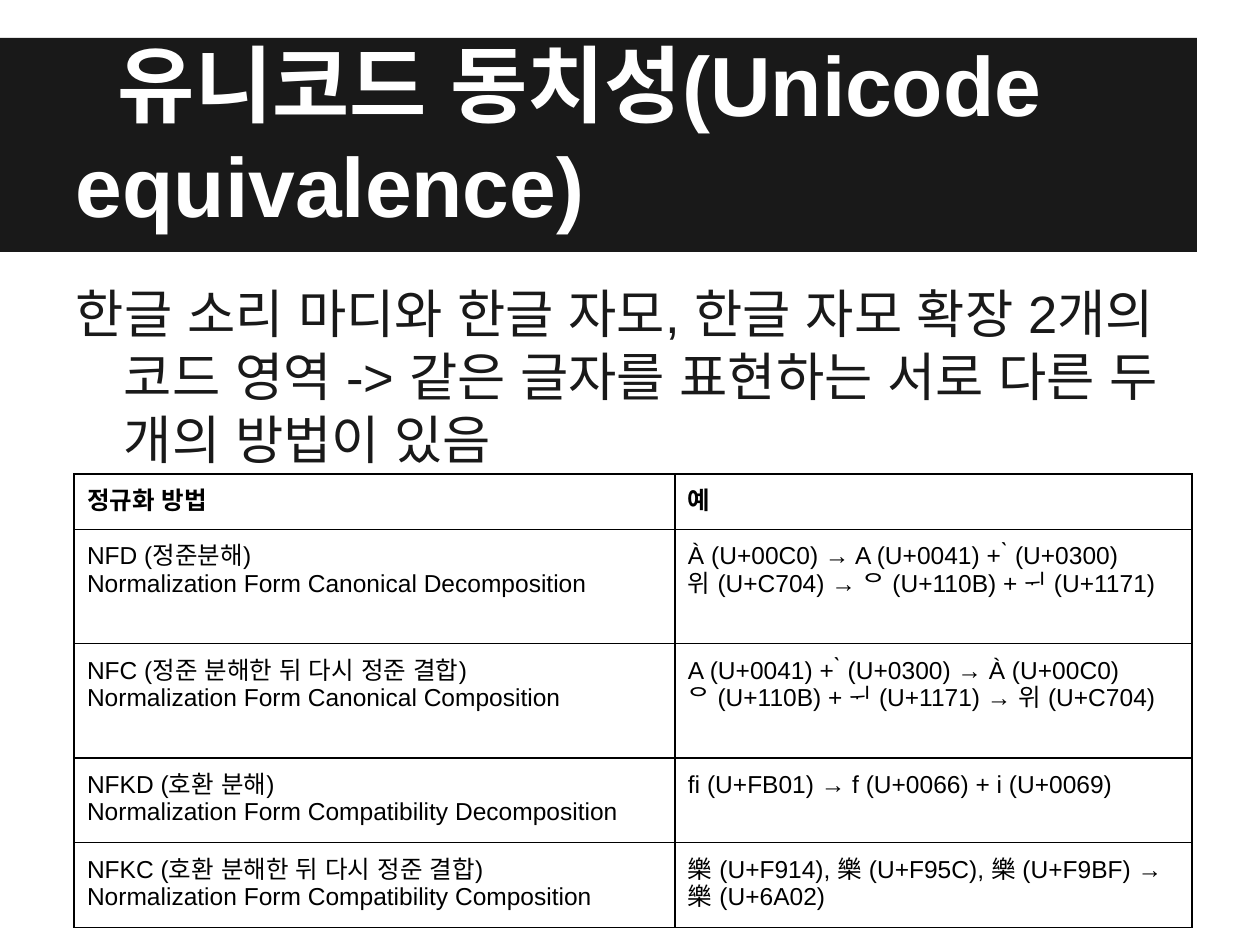
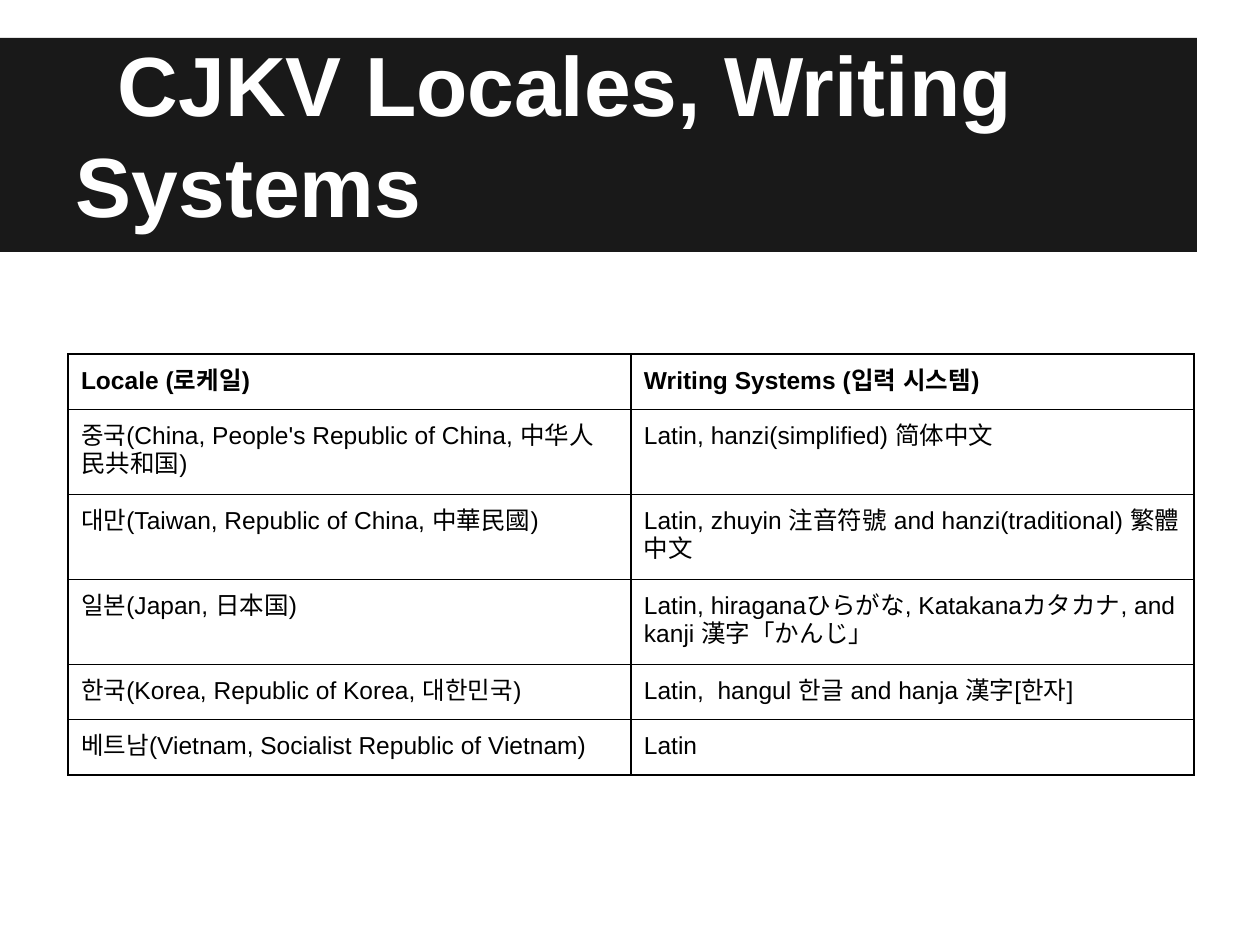
import pptx
import pptx.dml.color
import pptx.enum.shapes
import pptx.enum.text
import pptx.oxml
import pptx.oxml.ns
import pptx.util
from dataclasses import dataclass

NORMALIZATION = [
    (["정규화 방법"], ["예"]),
    (["NFD (정준분해)", "Normalization Form Canonical Decomposition"],
     ["À (U+00C0) → A (U+0041) + ̀ (U+0300)", "위 (U+C704) → ᄋ (U+110B) + ᅱ (U+1171)"]),
    (["NFC (정준 분해한 뒤 다시 정준 결합)", "Normalization Form Canonical Composition"],
     ["A (U+0041) + ̀ (U+0300) → À (U+00C0)", "ᄋ (U+110B) + ᅱ (U+1171) → 위 (U+C704)"]),
    (["NFKD (호환 분해)", "Normalization Form Compatibility Decomposition"],
     ["ﬁ (U+FB01) → f (U+0066) + i (U+0069)"]),
    (["NFKC (호환 분해한 뒤 다시 정준 결합)", "Normalization Form Compatibility Composition"],
     ["樂 (U+F914), 樂 (U+F95C), 樂 (U+F9BF) → 樂 (U+6A02)"]),
]

LOCALES = [
    (["Locale (로케일)"], ["Writing Systems (입력 시스템)"]),
    (["중국(China, People's Republic of China, 中华人民共和国)"],
     ["Latin, hanzi(simplified) 简体中文"]),
    (["대만(Taiwan, Republic of China, 中華民國)"],
     ["Latin, zhuyin 注音符號 and hanzi(traditional) 繁體中文"]),
    (["일본(Japan, 日本国)"],
     ["Latin, hiraganaひらがな, Katakanaカタカナ, and kanji 漢字「かんじ」"]),
    (["한국(Korea, Republic of Korea, 대한민국)"],
     ["Latin,  hangul 한글 and hanja 漢字[한자]"]),
    (["베트남(Vietnam, Socialist Republic of Vietnam)"], ["Latin"]),
]

SLIDES = [
    {
        "title": "유니코드 동치성(Unicode equivalence)",
        "body": "한글 소리 마디와 한글 자모, 한글 자모 확장 2개의 코드 영역 -> "
                "같은 글자를 표현하는 서로 다른 두 개의 방법이 있음",
        "table": {"rows": NORMALIZATION, "left": 74, "top": 474, "widths": (601, 517)},
    },
    {
        "title": "CJKV Locales, Writing Systems",
        "table": {"rows": LOCALES, "left": 68, "top": 354, "widths": (563, 563)},
    },
]


@dataclass(frozen=True)
class Theme:
    font: str = "Arial"
    dark: str = "191919"
    light: str = "FFFFFF"
    ink: str = "000000"
    title_size: int = 48
    body_size: int = 30
    cell_size: int = 14
    border: float = 0.75


THEME = Theme()
SLIDE = (1260, 945)
BAND = (0, 38, 1197, 214)
TITLE = (63, 38, 1134, 209)
BODY = (63, 268, 1134, 636)
INSET = 13
ROW_HEIGHT = 53


def px(n):
    return pptx.util.Emu(round(n * 914400 / 126))


def rgb(color):
    return pptx.dml.color.RGBColor.from_string(color)


def write(tf, paragraphs, *, size, color, bold=False, margin=0, indent=0, before=0):
    """Fill a text frame with paragraphs that share one format."""
    tf.word_wrap = True
    tf.margin_left = tf.margin_right = tf.margin_top = tf.margin_bottom = px(INSET)
    for i, text in enumerate(paragraphs):
        p = tf.paragraphs[0] if i == 0 else tf.add_paragraph()
        p.space_before = pptx.util.Pt(before)
        pPr = p._p.get_or_add_pPr()
        pPr.set("marL", str(px(margin)))
        pPr.set("indent", str(px(indent)))
        r = p.add_run()
        r.text = text
        r.font.name = THEME.font
        r.font.size = pptx.util.Pt(size)
        r.font.bold = bold
        r.font.color.rgb = rgb(color)
        for tag in ("a:ea", "a:cs"):
            face = pptx.oxml.ns.qn(tag)
            r._r.get_or_add_rPr().makeelement(face)
            child = pptx.oxml.parse_xml(
                f'<{tag} {pptx.oxml.ns.nsdecls("a")} typeface="{THEME.font}"/>')
            r._r.get_or_add_rPr().append(child)


def add_text(slide, box, text, anchor, **fmt):
    tf = slide.shapes.add_textbox(*map(px, box)).text_frame
    write(tf, [text], **fmt)
    tf.vertical_anchor = anchor


def add_title(slide, title):
    band = slide.shapes.add_shape(pptx.enum.shapes.MSO_SHAPE.RECTANGLE, *map(px, BAND))
    band.shadow.inherit = False
    band.fill.solid()
    band.fill.fore_color.rgb = rgb(THEME.dark)
    band.line.fill.background()
    add_text(slide, TITLE, title, pptx.enum.text.MSO_ANCHOR.BOTTOM,
             size=THEME.title_size, color=THEME.light, bold=True, indent=42)


def set_borders(cell):
    tcPr = cell._tc.get_or_add_tcPr()
    for i, side in enumerate(("lnL", "lnR", "lnT", "lnB")):
        tcPr.insert(i, pptx.oxml.parse_xml(
            f'<a:{side} {pptx.oxml.ns.nsdecls("a")} w="{pptx.util.Pt(THEME.border)}">'
            f'<a:solidFill><a:srgbClr val="{THEME.ink}"/></a:solidFill></a:{side}>'))


def add_table(slide, rows, left, top, widths):
    table = slide.shapes.add_table(
        len(rows), len(widths), px(left), px(top),
        px(sum(widths)), px(ROW_HEIGHT * len(rows))).table
    table.horz_banding = table.first_row = False
    for column, width in zip(table.columns, widths):
        column.width = px(width)
    for i, row in enumerate(rows):
        table.rows[i].height = px(ROW_HEIGHT)
        for j, paragraphs in enumerate(row):
            cell = table.cell(i, j)
            cell.fill.background()
            cell.margin_left = cell.margin_right = px(INSET)
            cell.margin_top = cell.margin_bottom = px(INSET)
            write(cell.text_frame, paragraphs, size=THEME.cell_size,
                  color=THEME.ink, bold=i == 0)
            set_borders(cell)


def main():
    prs = pptx.Presentation()
    prs.slide_width, prs.slide_height = map(px, SLIDE)
    for content in SLIDES:
        slide = prs.slides.add_slide(prs.slide_layouts[6])
        add_title(slide, content["title"])
        if "body" in content:
            add_text(slide, BODY, content["body"], pptx.enum.text.MSO_ANCHOR.TOP,
                     size=THEME.body_size, color=THEME.dark,
                     margin=48, indent=-48, before=6)
        add_table(slide, **content["table"])
    prs.save("out.pptx")


if __name__ == "__main__":
    main()
